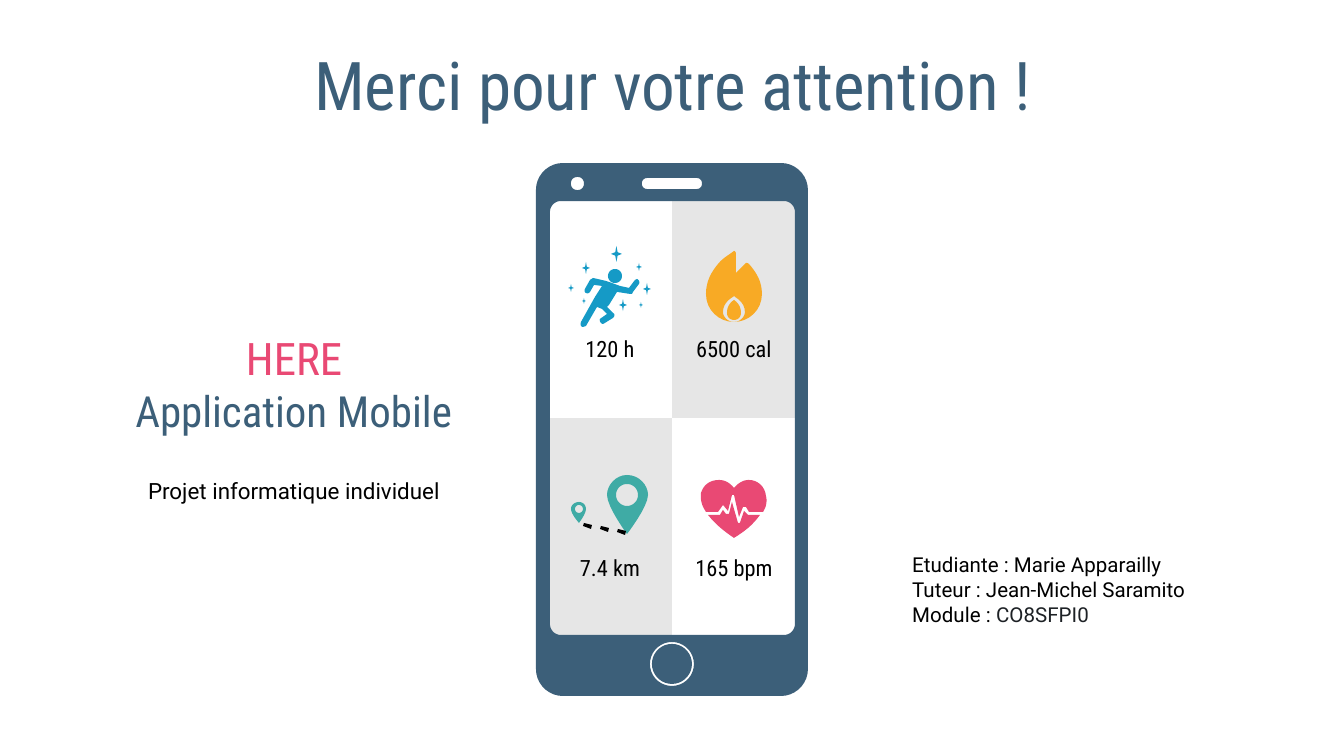
import math

import pptx
import pptx.dml.color
import pptx.enum.shapes
import pptx.enum.text
import pptx.util

PX = 914400 / 134.4
RGB = pptx.dml.color.RGBColor
SHAPE = pptx.enum.shapes.MSO_SHAPE
ALIGN = pptx.enum.text.PP_ALIGN
ANCHOR = pptx.enum.text.MSO_ANCHOR

NAVY = RGB(0x3C, 0x5F, 0x79)
PINK = RGB(0xE9, 0x49, 0x74)
BLUE = RGB(0x15, 0x9A, 0xC6)
TEAL = RGB(0x3F, 0xAB, 0xA5)
ORANGE = RGB(0xF8, 0xAA, 0x25)
GREY = RGB(0xE6, 0xE6, 0xE6)
WHITE = RGB(0xFF, 0xFF, 0xFF)
BLACK = RGB(0x00, 0x00, 0x00)
INK = RGB(0x1D, 0x21, 0x25)
BODY = "Roboto"
CONDENSED = "Roboto Condensed"

deck = pptx.Presentation()
deck.slide_width = round(1344 * PX)
deck.slide_height = round(756 * PX)
slide = deck.slides.add_slide(deck.slide_layouts[6])


def rounded(left, top, width, height, radius):
    """Contour of a rounded rectangle, a pill or a circle."""
    right, bottom = left + width - radius, top + height - radius
    centres = [(right, bottom), (left + radius, bottom),
               (left + radius, top + radius), (right, top + radius)]
    return [(x + radius * math.cos(math.radians(90 * turn + step)),
             y + radius * math.sin(math.radians(90 * turn + step)))
            for turn, (x, y) in enumerate(centres) for step in range(0, 91, 10)]


def outline(color, *contours):
    """One filled outline; pairs are corners, sextuples are Bézier curves."""
    builder = None
    for contour in contours:
        points = [contour[0]]
        for part in contour[1:]:
            if len(part) == 2:
                points.append(part)
                continue
            nodes = [points[-1], part[:2], part[2:4], part[4:]]
            for t in (i / 8 for i in range(1, 9)):
                weights = ((1 - t) ** 3, 3 * t * (1 - t) ** 2, 3 * t * t * (1 - t), t ** 3)
                points.append(tuple(sum(w * node[axis] for w, node in zip(weights, nodes))
                                    for axis in (0, 1)))
        points = [(x * PX, y * PX) for x, y in points]
        if builder is None:
            builder = slide.shapes.build_freeform(*points[0])
        else:
            builder.move_to(*points[0])
        builder.add_line_segments(points[1:], close=True)
    figure = builder.convert_to_shape()
    figure.shadow.inherit = False
    figure.fill.solid()
    figure.fill.fore_color.rgb = color
    figure.line.fill.background()


# Screen quarters, then the phone frame with its openings
for left, top, color in [(672, 198, GREY), (548, 418, GREY), (672, 418, WHITE)]:
    outline(color, [(left, top), (left + 124, top), (left + 124, top + 220), (left, top + 220)])
outline(NAVY,
        rounded(536, 163, 272, 533, 27),
        rounded(550, 201, 245, 434, 11),
        rounded(642, 178, 60, 11, 5),
        rounded(571, 177, 13, 13, 6),
        rounded(650, 642, 44, 44, 22))
outline(NAVY, rounded(652, 644, 40, 40, 20))

# Heart with its pulse line
outline(PINK, [(749, 480), (744, 480, 741, 482, 738, 484), (734, 488),
               (730, 483, 725, 480, 719, 480), (709, 480, 703, 486, 701, 493),
               (700, 500, 702, 506, 706, 512), (718, 512), (723, 505), (728, 511),
               (732, 495), (734, 495), (739, 517), (743, 507), (746, 507), (749, 512),
               (763, 512), (767, 506, 767, 500, 766, 496), (765, 486, 757, 480, 749, 480)])
outline(PINK, [(732, 502), (729, 514), (726, 514), (723, 510), (720, 515), (708, 515),
               (716, 525, 725, 532, 734, 538), (744, 532, 753, 525, 760, 515),
               (748, 515), (744, 511), (740, 523), (738, 523)])

# Runner: body, head and sparkles
outline(BLUE, [(593, 278), (590, 280), (585, 289), (584, 291, 585, 293, 586, 293),
               (588, 294, 589, 293, 590, 292), (594, 285), (602, 286), (595, 297),
               (581, 322), (580, 325, 581, 327, 583, 327), (586, 326), (597, 307),
               (602, 309), (607, 314), (600, 319), (599, 321, 601, 324, 603, 324),
               (605, 323), (613, 318), (615, 316, 615, 314, 613, 313), (607, 307),
               (609, 305), (617, 292), (630, 294), (632, 294), (633, 292), (639, 284),
               (640, 282, 639, 280, 637, 279), (635, 280), (629, 288), (620, 286),
               (609, 282), (606, 281)])
outline(BLUE, rounded(608, 269, 14, 14, 7))
for left, top, width, height in [(643, 283, 8, 12), (582, 262, 8, 12), (619, 299, 8, 12),
                                 (636, 263, 6, 8), (568, 284, 6, 8), (582, 298, 4, 6),
                                 (639, 302, 4, 6), (611, 246, 11, 16)]:
    sparkle = slide.shapes.add_shape(
        SHAPE.STAR_4_POINT, *(round(v * PX) for v in (left, top, width, height)))
    sparkle.adjustments[0] = 0.15
    sparkle.shadow.inherit = False
    sparkle.fill.solid()
    sparkle.fill.fore_color.rgb = BLUE
    sparkle.line.fill.background()

# Route: two pins and a dashed path
outline(TEAL, [(579, 502), (575, 502, 571, 505, 571, 509), (571, 514, 579, 523, 579, 523),
               (579, 523, 586, 514, 586, 509), (586, 505, 583, 502, 579, 502)],
        rounded(575, 505, 8, 8, 4))
outline(TEAL, [(627, 475), (616, 475, 607, 485, 607, 495), (607, 507, 627, 534, 627, 534),
               (627, 534, 648, 507, 648, 495), (648, 485, 639, 475, 627, 475)],
        rounded(616, 484, 22, 22, 11))
dash = [(584, 523), (592, 525), (591, 529), (583, 526)]
outline(BLACK, *([(x + 17 * i, y + 3 * i) for x, y in dash] for i in range(3)))

# Flame
outline(ORANGE, [(734, 300), (731, 302, 727, 306, 727, 313), (727, 317, 730, 320, 734, 320),
                 (738, 320, 741, 317, 741, 313), (741, 306, 737, 302, 734, 300)])
outline(ORANGE, [(734, 251), (729, 255, 723, 258, 719, 263), (711, 272, 706, 282, 706, 294),
                 (706, 310, 719, 322, 734, 322), (728, 322, 723, 317, 723, 312),
                 (723, 302, 733, 297, 733, 297), (734, 296, 735, 296, 735, 297),
                 (735, 297, 745, 302, 745, 312), (745, 317, 740, 322, 734, 322),
                 (749, 322, 762, 310, 762, 294), (762, 282, 757, 273, 749, 264),
                 (748, 263, 747, 263, 746, 263), (736, 273), (736, 254),
                 (736, 252, 735, 251, 734, 251)])

# Texts: box, anchor, alignment, font, then paragraphs of (text, size, colour) runs
texts = [
    ((276, 56, 794, 56), ANCHOR.MIDDLE, ALIGN.CENTER, CONDENSED,
     [[("Merci pour votre attention !", 36, NAVY)]]),
    ((20, 317, 548, 241), ANCHOR.TOP, ALIGN.CENTER, CONDENSED,
     [[("HERE", 24, PINK)], [("Application Mobile", 23, NAVY)]]),
    ((89, 464, 410, 73), ANCHOR.TOP, ALIGN.CENTER, BODY,
     [[("Projet informatique individuel", 12, BLACK)]]),
    ((899, 539, 445, 58), ANCHOR.TOP, ALIGN.LEFT, BODY,
     [[("Etudiante : Marie Apparailly", 11, BLACK)],
      [("Tuteur : Jean-Michel Saramito", 11, BLACK)],
      [("Module : ", 11, BLACK), ("CO8SFPI0", 11, INK)]]),
]
for i, measure in enumerate(["120 h", "6500 cal", "7.4 km", "165 bpm"]):
    row, column = divmod(i, 2)
    texts.append(((556 + 124 * column, 317 + 219 * row, 108, 64), ANCHOR.MIDDLE,
                  ALIGN.CENTER, CONDENSED, [[(measure, 12, BLACK)]]))

for box, anchor, alignment, font, paragraphs in texts:
    frame = slide.shapes.add_textbox(*(round(v * PX) for v in box)).text_frame
    frame.word_wrap = True
    frame.vertical_anchor = anchor
    frame.margin_left = frame.margin_right = pptx.util.Inches(0.1)
    frame.margin_top = frame.margin_bottom = pptx.util.Inches(0.1)
    for i, runs in enumerate(paragraphs):
        paragraph = frame.add_paragraph() if i else frame.paragraphs[0]
        paragraph.alignment = alignment
        for words, size, color in runs:
            run = paragraph.add_run()
            run.text = words
            run.font.name = font
            run.font.size = pptx.util.Pt(size)
            run.font.color.rgb = color

deck.save("out.pptx")
